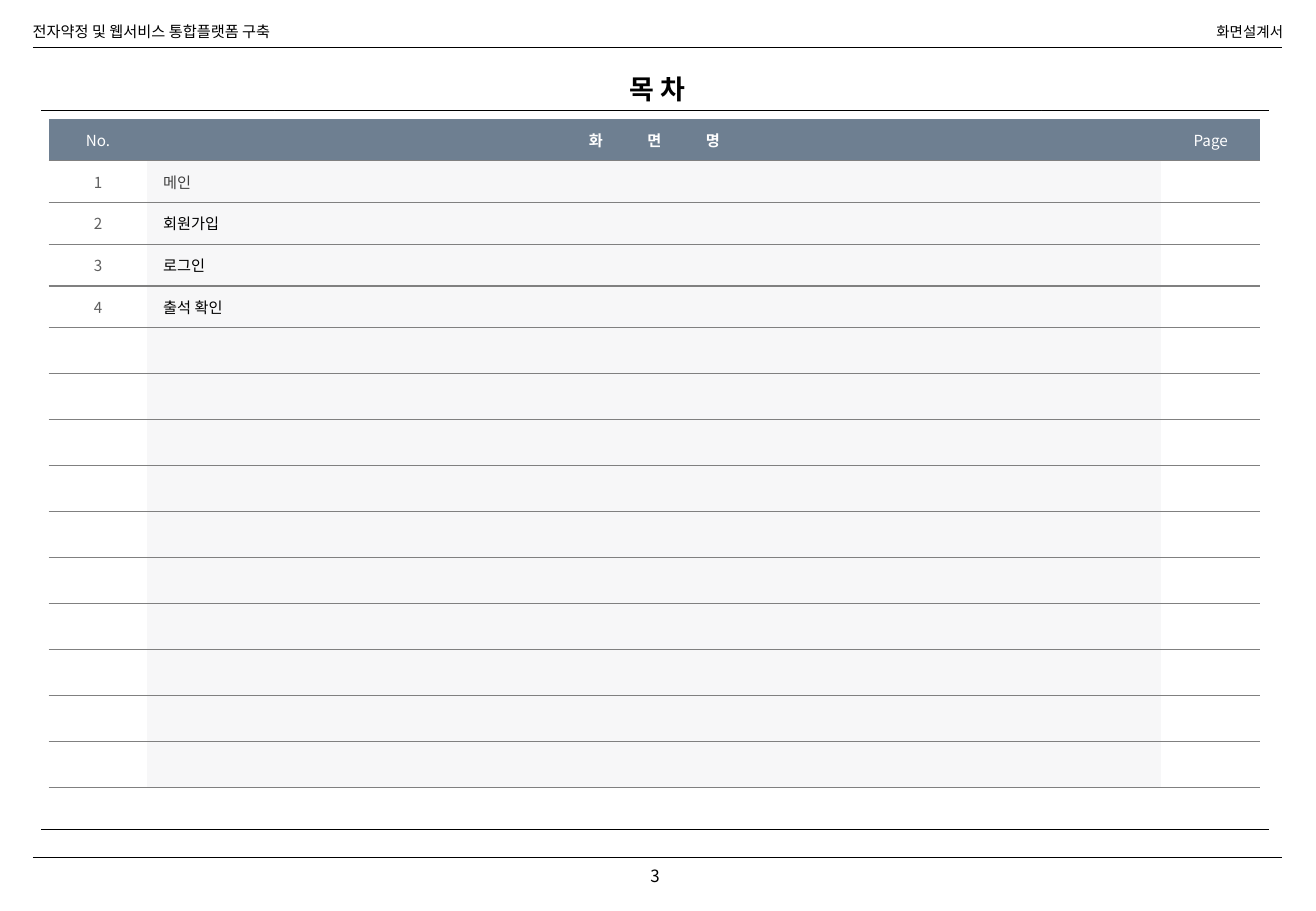
from lxml.etree import SubElement
from pptx import Presentation
from pptx.dml.color import RGBColor
from pptx.enum.shapes import MSO_CONNECTOR
from pptx.enum.text import MSO_ANCHOR, MSO_AUTO_SIZE, PP_ALIGN
from pptx.oxml import parse_xml
from pptx.oxml.ns import nsdecls, qn
from pptx.util import Inches, Pt

COLS, ROWS = 1083, 750  # page grid, a hundredth of an inch per step
NOTO, LATIN = "Noto Sans CJK KR", "Calibri"
BLACK, WHITE, GREY = "000000", "FFFFFF", "808080"
SLATE, PALE, DIM = "6E7F91", "F7F7F8", "5F5F5F"
PLAIN = "{2D5ABB26-0587-4C30-8999-92F81FD0307C}"
LEFT, MID, RIGHT = PP_ALIGN.LEFT, PP_ALIGN.CENTER, PP_ALIGN.RIGHT
SCREENS = [("메인", "404040"), ("회원가입", BLACK),
           ("로그인", BLACK), ("출석 확인", BLACK)]
BLANKS = 10


def grid(*steps):
    """Turn grid steps into lengths."""
    return [Inches(step / 100) for step in steps]


def tint(code):
    """Turn a hex string into a colour."""
    return RGBColor.from_string(code)


def style(para, size, color, align=LEFT, face=NOTO, bold=False):
    """Set the font and alignment of a paragraph."""
    para.alignment = align
    font = para.font
    font.name, font.size, font.bold = face, Pt(size), bold
    font.color.rgb = tint(color)


def label(slide, box, text, size, align=LEFT, face=NOTO, anchor=MSO_ANCHOR.TOP):
    """Add a line of black text in a box, and return its paragraph."""
    frame = slide.shapes.add_textbox(*grid(*box)).text_frame
    frame.word_wrap, frame.vertical_anchor = True, anchor
    para = frame.paragraphs[0]
    para.text = text
    style(para, size, BLACK, align, face)
    return para


def rule(slide, start, end, color=BLACK, width=0.75):
    """Draw a straight line between two grid points."""
    line = slide.shapes.add_connector(
        MSO_CONNECTOR.STRAIGHT, *grid(*start, *end))
    line.line.color.rgb, line.line.width = tint(color), Pt(width)
    SubElement(line._element.spPr, qn("a:effectLst"))


def frame_page(slide, box):
    """Draw the running header and the footer with its page number."""
    left, top, wide, high = box
    for y in (top, top + high):
        rule(slide, (left, y), (left + wide, y), width=1)
    mid = MSO_ANCHOR.MIDDLE
    label(slide, (left - 10, top - 27, 351, 27),
          "전자약정 및 웹서비스 통합플랫폼 구축", 9, face=LATIN, anchor=mid)
    para = label(slide, (left + wide - 217, top - 23, 228, 23),
                 "화면설계서", 8.6, RIGHT, LATIN, mid)
    para.line_spacing = 0.8
    label(slide, (left + wide / 2 - 53, top + high + 2, 102, 29), "3", 10, MID)


def heading(slide, box):
    """Place the slide title."""
    title = slide.shapes.title
    title.left, title.top, title.width, title.height = grid(*box)
    frame = title.text_frame
    frame.text = "목 차"
    frame.auto_size = MSO_AUTO_SIZE.NONE
    frame.vertical_anchor = MSO_ANCHOR.TOP
    para = frame.paragraphs[0]
    style(para, 16, BLACK, MID, bold=True)
    para.line_spacing = 1.6


def borders(slide, box):
    """Rule off the contents above and below, with gaps in the top line."""
    left, top, wide, high = box
    for y in (top, top + high):
        rule(slide, (left, y), (left + wide, y))
    for x in (left + 192, left + 823):
        rule(slide, (x, top), (x, top + 17), WHITE)


def paint(cell, fill, pads):
    """Give a cell its fill, margins and bottom border."""
    cell.fill.solid()
    cell.fill.fore_color.rgb = tint(fill)
    cell.vertical_anchor = MSO_ANCHOR.MIDDLE
    (cell.margin_left, cell.margin_top,
     cell.margin_right, cell.margin_bottom) = grid(*pads)
    edge = parse_xml(
        f'<a:lnB {nsdecls("a")} w="{Pt(0.75)}"><a:solidFill>'
        f'<a:srgbClr val="{GREY}"/></a:solidFill></a:lnB>')
    cell._tc.get_or_add_tcPr().insert(0, edge)


def write(cell, text, color, align=MID, bold=False):
    """Put one line of text in a cell."""
    para = cell.text_frame.paragraphs[0]
    para.text = text
    style(para, 9, color, align, bold=bold)
    return para


def spread(para, last, gap):
    """Letter-space a paragraph up to a closing run."""
    para.runs[0]._r.get_or_add_rPr().set("spc", str(gap))
    para.add_run().text = last


def contents(slide, box):
    """Build the table of screens with its blank rows."""
    full = 1 + len(SCREENS)
    table = slide.shapes.add_table(full + BLANKS, 3, *grid(*box)).table
    table._tbl.tblPr.find(qn("a:tableStyleId")).text = PLAIN
    side = 81.3
    for col, wide in zip(table.columns, grid(side, box[2] - 2 * side, side)):
        col.width = wide
    for r, row in enumerate(table.rows):
        row.height = grid(34.4 if r < full else 37.9)[0]
        fills = [SLATE] * 3 if r == 0 else [WHITE, PALE, WHITE]
        for c, cell in enumerate(row.cells):
            used = r == 0 or (r < full and c == 0)
            paint(cell, fills[c], [7] * 4 if used else [13, 0, 1, 0])
    write(table.cell(0, 0), "No.", WHITE)
    spread(write(table.cell(0, 1), "화 면 ", WHITE, bold=True), "명", 1220)
    write(table.cell(0, 2), "Page", WHITE)
    for r, (name, color) in enumerate(SCREENS, 1):
        write(table.cell(r, 0), str(r), DIM)
        write(table.cell(r, 1), name, color, LEFT)


def index_page(deck, box):
    """Add the contents slide, laid out inside the given box."""
    slide = deck.slides.add_slide(deck.slide_layouts[5])
    left, top, wide, high = box
    frame_page(slide, box)
    heading(slide, (left, top, wide, 53))
    borders(slide, (left + 7, top + 52, wide - 18, high - 75))
    contents(slide, (left + 13, top + 59, wide - 31, 551))


deck = Presentation()
deck.slide_width, deck.slide_height = grid(COLS, ROWS)
index_page(deck, (27, 39, COLS - 55, ROWS - 83))
deck.save("out.pptx")
